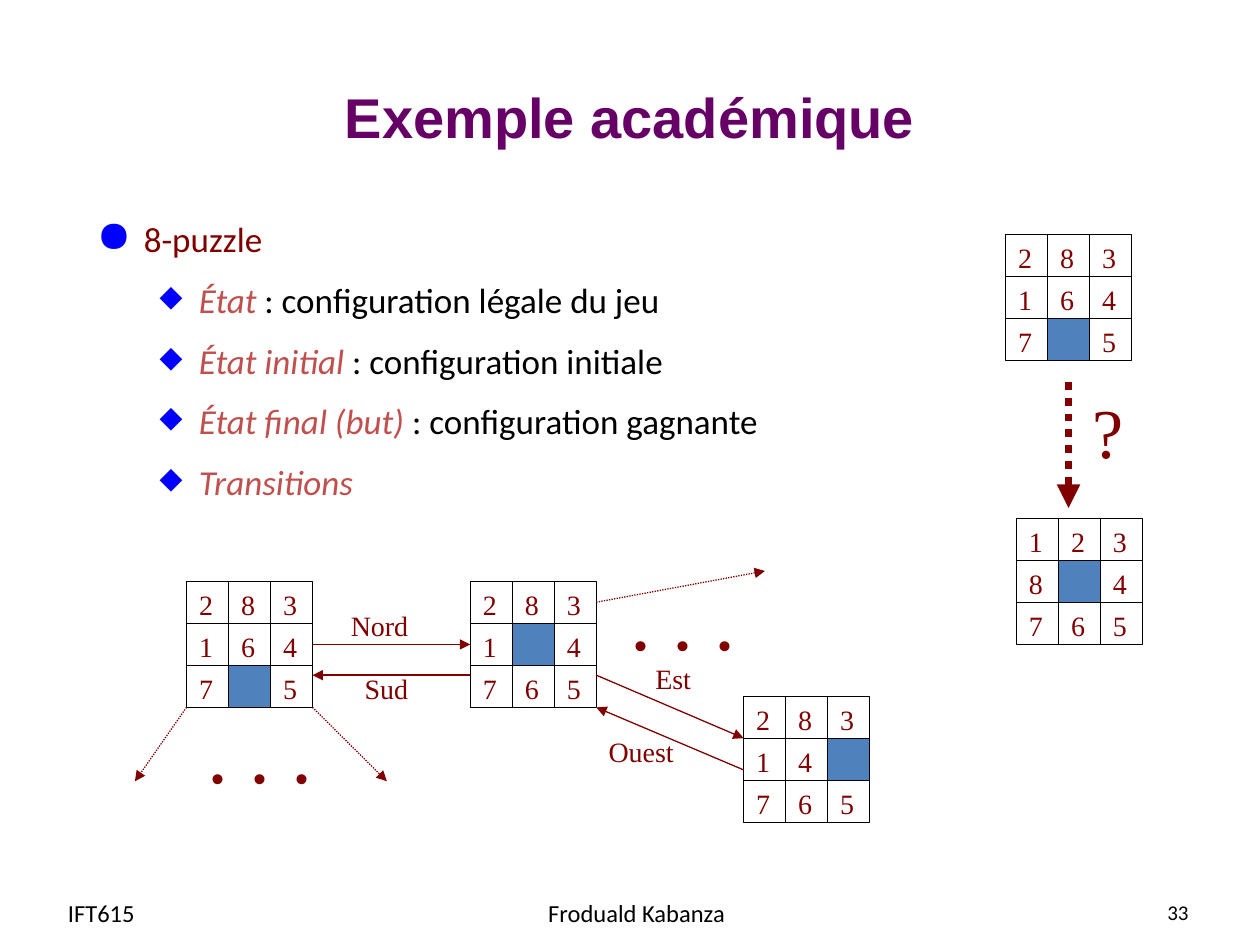
import pptx
import pptx.dml.color
import pptx.enum.dml
import pptx.enum.shapes
import pptx.enum.text
import pptx.oxml.ns
import pptx.util
from lxml import etree
from pptx.util import Cm

RGBColor = pptx.dml.color.RGBColor
MAROON = RGBColor(0x80, 0x00, 0x00)
PURPLE = RGBColor(0x66, 0x00, 0x66)
RED = RGBColor(0xC0, 0x50, 0x4D)
BLUE = RGBColor(0x4F, 0x81, 0xBD)
BULLET_BLUE = RGBColor(0x00, 0x00, 0xFF)
BLACK = RGBColor(0x00, 0x00, 0x00)

ALIGN = pptx.enum.text.PP_ALIGN
ANCHOR = pptx.enum.text.MSO_ANCHOR
SERIF, SANS, TITLE_FONT = "Times New Roman", "Calibri", "Arial"
PUZZLE_SIZE = 2.54
CELL = PUZZLE_SIZE / 3


def add_xml(parent, tag, **attributes):
    return etree.SubElement(parent, pptx.oxml.ns.qn(tag), attributes)


class SlideBuilder:
    """Holds the style and the current slide; positions are in centimetres."""

    def __init__(self, slide):
        self.slide = slide

    def text(self, text, left, top, width, height, size=16, font=SERIF, color=MAROON,
             align=ALIGN.CENTER, anchor=ANCHOR.TOP, wrap=False, bold=False, shapes=None):
        shapes = shapes or self.slide.shapes
        box = shapes.add_textbox(Cm(left), Cm(top), Cm(width), Cm(height))
        frame = box.text_frame
        frame.word_wrap = wrap
        frame.vertical_anchor = anchor
        paragraph = frame.paragraphs[0]
        paragraph.text = text
        paragraph.alignment = align
        self.style(paragraph, size, font, color, bold)

    def style(self, paragraph, size, font, color, bold=False):
        paragraph.font.size = pptx.util.Pt(size)
        paragraph.font.name = font
        paragraph.font.color.rgb = color
        paragraph.font.bold = bold

    def bullets(self, heading, items, left, top, width, height):
        """Add a heading and its sub-items, each a (term, explanation) pair."""
        box = self.slide.shapes.add_textbox(Cm(left), Cm(top), Cm(width), Cm(height))
        frame = box.text_frame
        frame.word_wrap = True
        paragraph = frame.paragraphs[0]
        paragraph.text = heading
        self.bullet(paragraph, "●", 125, 0.95, 0.95)
        self.style(paragraph, 20, SANS, MAROON)
        for term, explanation in items:
            paragraph = frame.add_paragraph()
            paragraph.level = 1
            self.bullet(paragraph, "◆", 85, 2.06, 0.79)
            self.style(paragraph, 20, SANS, BLACK)
            run = paragraph.add_run()
            run.text = term
            run.font.italic = True
            run.font.color.rgb = RED
            if explanation:
                paragraph.add_run().text = explanation

    def bullet(self, paragraph, character, percent, margin, hanging):
        paragraph.line_spacing = 1.3
        paragraph.space_before = pptx.util.Pt(3.5)
        properties = paragraph._p.get_or_add_pPr()
        properties.set("marL", str(Cm(margin)))
        properties.set("indent", str(-Cm(hanging)))
        add_xml(add_xml(properties, "a:buClr"), "a:srgbClr", val=str(BULLET_BLUE))
        add_xml(properties, "a:buSzPct", val=str(percent * 1000))
        add_xml(properties, "a:buChar", char=character)

    def line(self, start, end, color=BLACK, width=0.75, shapes=None):
        shapes = shapes or self.slide.shapes
        connector = shapes.add_connector(
            pptx.enum.shapes.MSO_CONNECTOR.STRAIGHT, *map(Cm, start + end))
        connector.line.color.rgb = color
        connector.line.width = pptx.util.Pt(width)
        add_xml(connector._element.spPr, "a:effectLst")
        return connector

    def arrow(self, start, end, width=0.75, dotted=False):
        connector = self.line(start, end, MAROON, width)
        if dotted:
            connector.line.dash_style = pptx.enum.dml.MSO_LINE.ROUND_DOT
        add_xml(connector.line._get_or_add_ln(), "a:tailEnd", type="triangle")
        return connector

    def square(self, left, top, size, shapes, fill=None):
        shape = shapes.add_shape(pptx.enum.shapes.MSO_SHAPE.RECTANGLE,
                                 Cm(left), Cm(top), Cm(size), Cm(size))
        shape.shadow.inherit = False
        if fill is None:
            shape.fill.background()
        else:
            shape.fill.solid()
            shape.fill.fore_color.rgb = fill
        shape.line.color.rgb = BLACK
        shape.line.width = pptx.util.Pt(0.75)
        return shape

    def puzzle(self, tiles, left, top):
        """Add a 3 by 3 board read row by row, a space being the empty cell; return its frame."""
        shapes = self.slide.shapes.add_group_shape().shapes
        frame = self.square(left, top, PUZZLE_SIZE, shapes)
        for step in (CELL, 2 * CELL):
            self.line((left + step, top), (left + step, top + PUZZLE_SIZE), shapes=shapes)
            self.line((left, top + step), (left + PUZZLE_SIZE, top + step), shapes=shapes)
        for index, tile in enumerate(tiles):
            row, column = divmod(index, 3)
            x, y = left + column * CELL, top + row * CELL
            if tile == " ":
                self.square(x, y, CELL, shapes, BLUE)
            else:
                self.text(tile, x, y, 0.79, 0.94, shapes=shapes)
        return frame


def main():
    presentation = pptx.Presentation()
    presentation.slide_width, presentation.slide_height = Cm(25.4), Cm(19.05)
    builder = SlideBuilder(presentation.slides.add_slide(presentation.slide_layouts[6]))

    builder.text("Exemple académique", 1.27, 0.76, 22.86, 3.18, 32, TITLE_FONT, PURPLE,
                 anchor=ANCHOR.MIDDLE, wrap=True, bold=True)
    builder.bullets("8-puzzle", [
        ("État", " : configuration légale du jeu"),
        ("État initial", " : configuration initiale"),
        ("État final (but)", " : configuration gagnante"),
        ("Transitions", ""),
    ], 1.7, 4.01, 21.59, 12.06)

    # From the initial state to the goal
    builder.puzzle("2831647 5", 20.27, 4.73)
    builder.puzzle("1238 4765", 20.49, 10.45)
    builder.arrow((21.54, 7.7), (21.54, 10.24), 4.5, dotted=True)
    builder.text("?", 21.77, 7.7, 1.14, 1.96, 40)

    # Transitions between states
    start_frame = builder.puzzle("2831647 5", 3.76, 11.72)
    north_frame = builder.puzzle("2831 4765", 9.48, 11.72)
    builder.puzzle("28314 765", 14.99, 14.04)
    north_arrow = builder.arrow((6.3, 12.99), (9.48, 12.99))
    north_arrow.begin_connect(start_frame, 3)
    north_arrow.end_connect(north_frame, 1)
    builder.arrow((9.48, 13.61), (6.3, 13.61))
    builder.arrow((12.02, 13.61), (14.99, 14.88))
    builder.arrow((14.99, 15.52), (12.02, 14.26))
    for start, end in [((6.3, 14.26), (7.8, 15.75)),
                       ((3.76, 14.26), (2.72, 15.75)),
                       ((12.02, 12.14), (15.42, 11.51))]:
        builder.arrow(start, end, dotted=True)
    for label, left, top, width in [("Nord", 6.81, 12.14, 1.68), ("Sud", 7.09, 13.41, 1.4),
                                    ("Est", 12.95, 13.21, 1.24), ("Ouest", 12.01, 14.68, 1.83)]:
        builder.text(label, left, top, width, 0.94)
    for left, top in [(3.94, 13.97), (12.45, 11.3)]:
        builder.text(". . .", left, top, 2.62, 2.29, 48)

    for label, left, width, size, align in [("IFT615", 1.12, 4.9, 14, ALIGN.LEFT),
                                            ("Froduald Kabanza", 8.81, 8.05, 14, ALIGN.CENTER),
                                            ("33", 18.29, 5.92, 12, ALIGN.RIGHT)]:
        builder.text(label, left, 17.88, width, 1.02, size, SANS, BLACK, align,
                     ANCHOR.MIDDLE, wrap=True)

    presentation.save("out.pptx")


if __name__ == "__main__":
    main()
